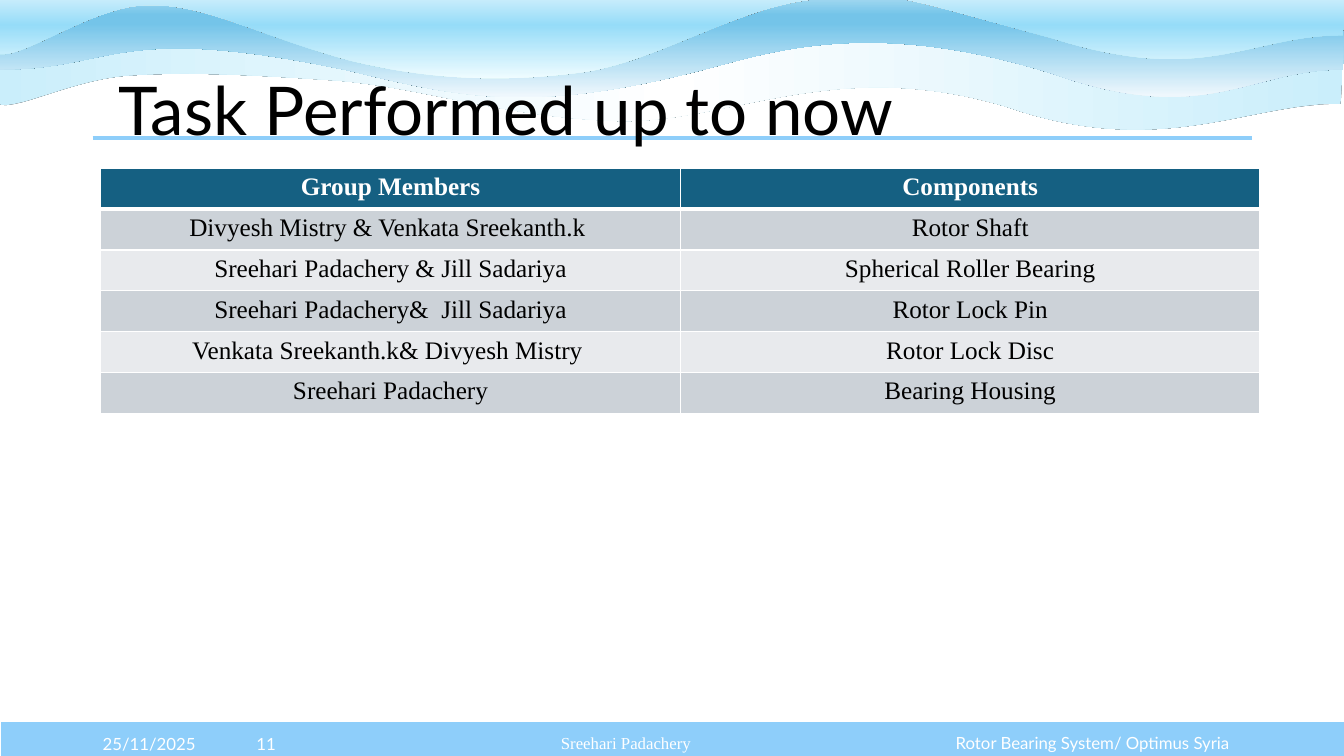
from pptx import Presentation
from pptx.dml.color import RGBColor
from pptx.enum.shapes import MSO_CONNECTOR, MSO_SHAPE
from pptx.enum.text import MSO_ANCHOR, PP_ALIGN
from pptx.oxml import parse_xml
from pptx.oxml.ns import nsdecls
from pptx.oxml.xmlchemy import OxmlElement
from pptx.util import Inches, Pt

WIDTH, HEIGHT = 40 / 3, 7.5
WHITE = RGBColor(0xFF, 0xFF, 0xFF)
BLACK = RGBColor(0, 0, 0)
SKY = RGBColor(0x8E, 0xCE, 0xFA)
HEADER = RGBColor(0x15, 0x60, 0x82)
BANDS = (RGBColor(0xCC, 0xD2, 0xD8), RGBColor(0xE8, 0xEA, 0xED))
SANS, SERIF = "Lato", "Times New Roman"

TITLE = "Task Performed up to now"
TASKS = [
    ("Group Members", "Components"),
    ("Divyesh Mistry & Venkata Sreekanth.k ", "Rotor Shaft"),
    ("Sreehari Padachery & Jill Sadariya", "Spherical Roller Bearing"),
    ("Sreehari Padachery&  Jill Sadariya", "Rotor Lock Pin"),
    ("Venkata Sreekanth.k& Divyesh Mistry ", "Rotor Lock Disc"),
    ("Sreehari Padachery", "Bearing Housing"),
]
# text, (left, top, width, height), font, alignment, line spacing
FOOTERS = [
    ("Sreehari Padachery", (3.15, 7.18, 6.12, 0.4), SERIF, PP_ALIGN.CENTER, 0.9),
    ("Rotor Bearing System/ Optimus Syria", (9.3, 7.24, 3.08, 0.28), SANS, PP_ALIGN.CENTER, 0.9),
    ("25/11/2025", (0.92, 7.18, 1.22, 0.4), SANS, PP_ALIGN.LEFT, 1.0),
    ("11", (2.13, 7.18, 1.02, 0.4), SANS, PP_ALIGN.CENTER, 1.0),
]
# frame, gradient angle, gradient stops, start of lower edge, Bezier curves, top edge
WAVES = [
    ((-0.04, 0.3, 13.36, 0.98), 0, [(0, "CAEEFB"), (50, "FFFFFF"), (100, "CAEEFB")],
     (13.3, 1.03), [
        ((12.37, 1.02), (11.52, 1.59), (9.99, 1.06)),
        ((8.27, 0.54), (7.21, 1.24), (6.1, 1.2)),
        ((4.99, 1.16), (4.21, 0.87), (3.35, 0.8)),
        ((2.49, 0.74), (1.83, 0.71), (1.27, 0.75)),
        ((0.71, 0.79), (0.14, 1.11), (-0.02, 1.03)),
        ((-0.02, 0.8), (-0.04, 0.53), (-0.04, 0.3))],
     [(3.13, 0.31), (6.52, 0.34), (9.41, 0.32), (13.32, 0.34)],
     ((13.32, 0.55), (13.32, 0.8))),
    ((0, -0.02, 13.33, 0.98), 90,
     [(0, "A2D8F0"), (17, "74C4E9"), (26, "74C4E9"), (100, "F0F8FD")],
     (13.32, 0.69), [
        ((12.39, 0.69), (11.96, 1.27), (10.44, 0.73)),
        ((8.71, 0.19), (7.73, 0.49), (7.06, 0.67)),
        ((5.28, 1.14), (4.59, 0.97), (3.46, 0.7)),
        ((1.13, 0.21), (1.15, 0.69), (0, 0.69)),
        ((0, 0.46), (0.01, 0.23), (0.01, -0.01))],
     [(3.13, 0), (6.54, -0.02), (9.46, -0.01), (13.33, 0.03)],
     ((13.33, 0.25), (13.34, 0.46))),
    ((-0.03, -0.28, 13.36, 1.06), 90, [(0, "FFFFFF"), (50, "96DCF8"), (100, "EFFCFF")],
     (13.32, 0.35), [
        ((12.39, 0.35), (11.96, 0.86), (10.44, 0.38)),
        ((8.72, -0.09), (8.91, -0.07), (8.13, -0.01)),
        ((7.35, 0.04), (6.53, 0.62), (5.76, 0.72)),
        ((4.98, 0.82), (4.24, 0.79), (3.47, 0.6)),
        ((2.58, 0.36), (2.07, 0.05), (1.5, 0.05)),
        ((0.92, 0.04), (0.22, 0.61), (-0.03, 0.53)),
        ((-0.02, 0.32), (0.01, -0.06), (0.01, -0.27))],
     [(3.13, -0.26), (6.54, -0.28), (9.46, -0.27), (13.33, -0.24)],
     ((13.33, -0.04), (13.34, 0.14))),
]


def add_wave(page, frame, angle, stops, start, curves, top_edge, right_controls):
    """Add a freeform filling the frame, then bend its outline into Bezier curves."""
    left, top, width, height = map(Inches, frame)
    builder = page.shapes.build_freeform(left, top)
    builder.add_line_segments([(left + width, top), (left + width, top + height),
                               (left, top + height)], close=True)
    wave = builder.convert_to_shape()
    properties = wave.element.spPr
    outline = properties.find(".//{*}path")
    for segment in list(outline):
        outline.remove(segment)

    def add_segment(tag, points=()):
        segment = OxmlElement(tag)
        for x, y in points:
            point = OxmlElement("a:pt")
            point.set("x", str(Inches(x) - left))
            point.set("y", str(Inches(y) - top))
            segment.append(point)
        outline.append(segment)

    add_segment("a:moveTo", [start])
    for curve in curves:
        add_segment("a:cubicBezTo", curve)
    for point in top_edge:
        add_segment("a:lnTo", [point])
    add_segment("a:cubicBezTo", (*right_controls, start))
    add_segment("a:close")

    wave.line.fill.background()
    wave.fill.solid()
    stop_xml = "".join(f'<a:gs pos="{share * 1000}"><a:srgbClr val="{color}"/></a:gs>'
                       for share, color in stops)
    gradient = parse_xml(f'<a:gradFill {nsdecls("a")}><a:gsLst>{stop_xml}</a:gsLst>'
                         f'<a:lin ang="{angle * 60000}" scaled="0"/></a:gradFill>')
    properties.replace(properties.find("{*}solidFill"), gradient)
    wave.shadow.inherit = False
    properties.find("{*}effectLst").append(parse_xml(
        f'<a:outerShdw {nsdecls("a")}><a:srgbClr val="000000"/></a:outerShdw>'))


def style_paragraph(para, text, font, size, color, align):
    para.text = text
    para.alignment = align
    para.font.name = font
    para.font.size = Pt(size)
    para.font.color.rgb = color


def add_text(page, text, frame, font, size, color, align, spacing):
    box = page.shapes.add_textbox(*map(Inches, frame))
    box.text_frame.word_wrap = True
    box.text_frame.vertical_anchor = MSO_ANCHOR.MIDDLE
    para = box.text_frame.paragraphs[0]
    style_paragraph(para, text, font, size, color, align)
    para.line_spacing = spacing
    return box


def set_borders(cell, bottom_width):
    borders = {"lnL": 1, "lnR": 1, "lnT": 1, "lnB": bottom_width}
    for position, (tag, width) in enumerate(borders.items()):
        cell._tc.get_or_add_tcPr().insert(position, parse_xml(
            f'<a:{tag} {nsdecls("a")} w="{Pt(width)}"><a:solidFill>'
            f'<a:srgbClr val="{WHITE}"/></a:solidFill></a:{tag}>'))


def add_task_table(page):
    row_height = 0.405
    table = page.shapes.add_table(len(TASKS), len(TASKS[0]), Inches(1), Inches(1.67),
                                  Inches(11.5), Inches(row_height * len(TASKS))).table
    for row, values in enumerate(TASKS):
        for column, value in enumerate(values):
            cell = table.cell(row, column)
            cell.fill.solid()
            cell.fill.fore_color.rgb = BANDS[(row - 1) % 2] if row else HEADER
            if row == 0:
                set_borders(cell, bottom_width=3)
            para = cell.text_frame.paragraphs[0]
            style_paragraph(para, value, SERIF, 18, BLACK if row else WHITE, PP_ALIGN.CENTER)
            para.font.bold = row == 0


def main():
    deck = Presentation()
    deck.slide_width, deck.slide_height = Inches(WIDTH), Inches(HEIGHT)
    page = deck.slides.add_slide(deck.slide_layouts[6])

    bar = page.shapes.add_shape(MSO_SHAPE.RECTANGLE, 0, Inches(7.15), Inches(13.35), Inches(0.4))
    bar.fill.solid()
    bar.fill.fore_color.rgb = SKY
    bar.line.color.rgb = WHITE
    bar.line.width = Pt(1.5)
    bar.shadow.inherit = False

    for wave in WAVES:
        add_wave(page, *wave)
    for text, frame, font, align, spacing in FOOTERS:
        add_text(page, text, frame, font, 12, WHITE, align, spacing)

    rule = page.shapes.add_connector(MSO_CONNECTOR.STRAIGHT, Inches(0.92), Inches(1.37),
                                     Inches(12.42), Inches(1.37))
    rule.line.color.rgb = SKY
    rule.line.width = Pt(3)
    rule.element.spPr.append(OxmlElement("a:effectLst"))

    add_task_table(page)
    title = add_text(page, TITLE, (0.92, 0.4, 11.5, 1.45), SANS, 48, BLACK, PP_ALIGN.LEFT, 0.9)
    title.text_frame.margin_left = Inches(0.26)
    deck.save("out.pptx")


if __name__ == "__main__":
    main()
